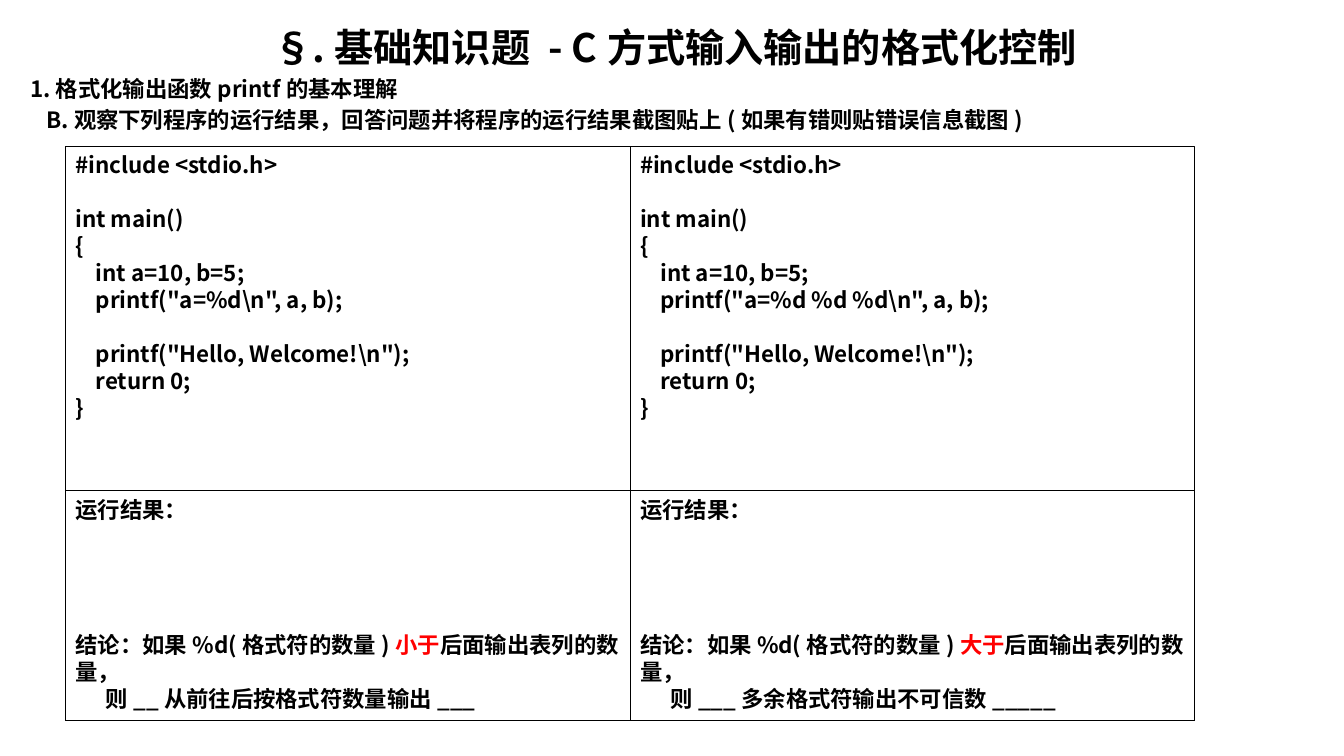
from pptx import Presentation
from pptx.dml.color import RGBColor
from pptx.enum.shapes import MSO_SHAPE as Shape
from pptx.enum.text import MSO_ANCHOR as Anchor, MSO_AUTO_SIZE as Fit, PP_ALIGN as Align
from pptx.util import Inches, Pt
from lxml.etree import SubElement
from pptx.oxml.ns import qn

FONT = "Noto Sans CJK SC"
BLACK, RED = "000000", "FF0000"
PITCH = 19.3  # line height of 16 pt text, in points

TITLE = "§.基础知识题 - C方式输入输出的格式化控制"
# Each line: text, left indent in inches
HEADS = [
    ("1.格式化输出函数printf的基本理解", 0),
    ("B.观察下列程序的运行结果，回答问题并将程序的运行结果截图贴上(如果有错则贴错误信息截图)", 0.16),
]
CODE = r"""#include <stdio.h>

int main()
{
    int a=10, b=5;
    printf("a=FORMAT\n", a, b);

    printf("Hello, Welcome!\n");
    return 0;
}"""
RESULT = "运行结果："
CLAIM = ("结论：如果%d(格式符的数量)", "后面输出表列的数量，")
# Each column: format, comparison, answer
CASES = [
    ("%d", "小于", "则__从前往后按格式符数量输出___"),
    ("%d %d %d", "大于", "则___多余格式符输出不可信数_____"),
]

LEFT, TOP, WIDTH, HEIGHT = 0.65, 1.45, 5.6, 5.7
LOW = 2.28  # height of the answer boxes


def color(hex):
    return RGBColor.from_string(hex)


def style(para, size=16, align=Align.LEFT):
    para.alignment = align
    font = para.font
    font.size, font.bold = Pt(size), True
    font.color.rgb = color(BLACK)
    font.name = FONT
    SubElement(font._element, qn("a:ea"), typeface=FONT)


def write(frame, lines):
    """Fill a frame with (text or runs, indent, space before) lines."""
    frame.word_wrap = True
    frame.vertical_anchor = Anchor.TOP
    for i, (parts, indent, before) in enumerate(lines):
        para = frame.paragraphs[0] if i == 0 else frame.add_paragraph()
        para.line_spacing = Pt(PITCH)
        if before:
            para.space_before = Pt(before)
        if indent:
            props = para._p.get_or_add_pPr()
            props.set("marL", str(Inches(indent)))
            props.set("indent", "0")
        style(para)
        for text, hue in parts:
            run = para.add_run()
            run.text = text
            if hue != BLACK:
                run.font.color.rgb = color(hue)


def box(slide, x, y, height, lines):
    rect = slide.shapes.add_shape(
        Shape.RECTANGLE, Inches(x), Inches(y), Inches(WIDTH), Inches(height))
    rect.shadow.inherit = False
    rect.fill.background()
    rect.line.color.rgb = color(BLACK)
    rect.line.width = Pt(0.75)
    write(rect.text_frame, lines)


def main():
    prs = Presentation()
    prs.slide_width, prs.slide_height = Inches(13.33), Inches(7.5)
    slide = prs.slides.add_slide(prs.slide_layouts[5])

    # Title
    title = slide.shapes.title
    title.left, title.top = Inches(0.2), Inches(0.18)
    title.width, title.height = Inches(12.99), Inches(0.56)
    frame = title.text_frame
    frame.text = TITLE
    frame.auto_size = Fit.NONE
    frame.vertical_anchor = Anchor.MIDDLE
    style(frame.paragraphs[0], 28, Align.CENTER)

    # Headings
    heads = slide.shapes.add_textbox(
        Inches(0.2), Inches(0.69), Inches(12.99), Inches(0.7))
    write(heads.text_frame, [
        ([(text, BLACK)], indent, 3.5 if i else 0)
        for i, (text, indent) in enumerate(HEADS)])

    # Program above, answer below, one column per case
    for i, (form, word, answer) in enumerate(CASES):
        x = LEFT + i * WIDTH
        code = CODE.replace("FORMAT", form).split("\n")
        box(slide, x, TOP, HEIGHT,
            [([(line, BLACK)] if line else [], 0, 0) for line in code])
        box(slide, x, TOP + HEIGHT - LOW, LOW, [
            ([(RESULT, BLACK)], 0, 0),
            ([(CLAIM[0], BLACK), (word, RED), (CLAIM[1], BLACK)], 0, 4 * PITCH),
            ([(answer, BLACK)], 0.3, 0),
        ])

    prs.save("out.pptx")


if __name__ == "__main__":
    main()
